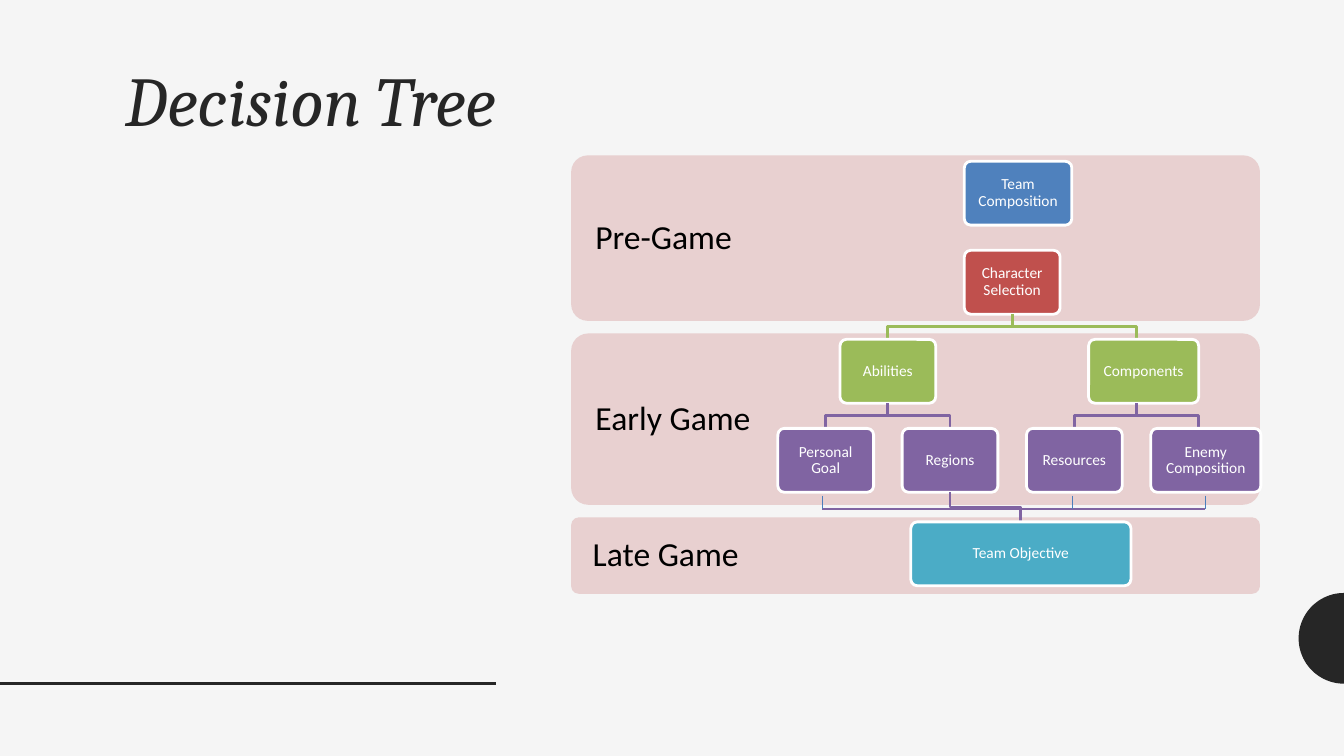
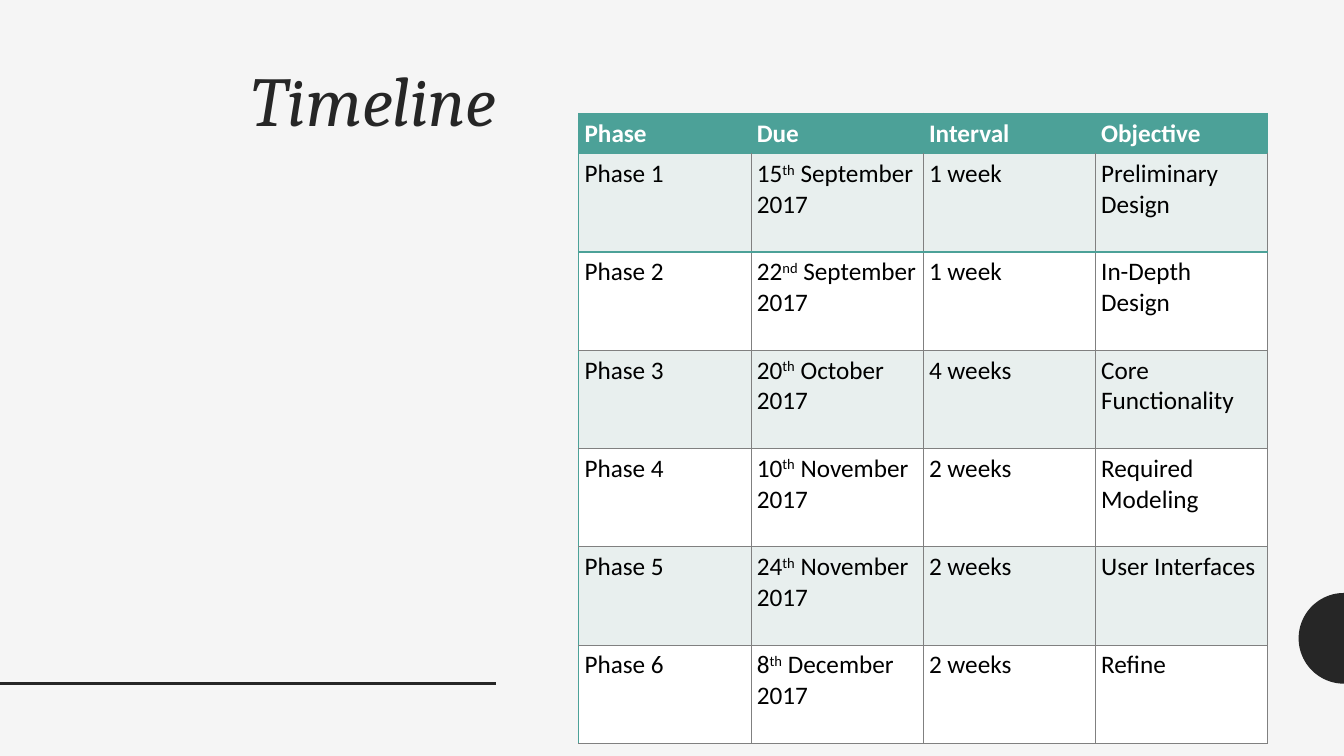
from dataclasses import dataclass
from math import cos, pi, sin
from typing import Any

from lxml import etree
from pptx import Presentation
from pptx.dml.color import RGBColor
from pptx.enum.shapes import MSO_CONNECTOR, MSO_SHAPE
from pptx.enum.text import MSO_ANCHOR, PP_ALIGN
from pptx.oxml.ns import qn
from pptx.util import Inches, Pt

STRAIGHT = MSO_CONNECTOR.STRAIGHT
ROUNDED = MSO_SHAPE.ROUNDED_RECTANGLE
TOP, MIDDLE = MSO_ANCHOR.TOP, MSO_ANCHOR.MIDDLE
LEFT, CENTER, RIGHT = PP_ALIGN.LEFT, PP_ALIGN.CENTER, PP_ALIGN.RIGHT

COLOURS = {
    "paper": "F5F5F5", "ink": "262626", "black": "000000", "white": "FFFFFF",
    "band": "E8D0D0", "blue": "4F81BD", "red": "C0504D", "green": "9BBB59",
    "purple": "8064A2", "aqua": "4BACC6", "stub": "4B7EBC",
    "teal": "4CA198", "mist": "E8EFEE", "grey": "808080",
}

# The slide is a grid of 16 columns and 9 rows of square units.
COLUMNS, ROWS = 16, 9
UNIT = Inches(13.333) / COLUMNS

TREE_LEFT, TREE_TOP = 9.26, 1.92
TREE_PITCH_X, TREE_PITCH_Y = 1.48, 1.06
NODE_WIDTH, NODE_HEIGHT = 1.14, 0.76


@dataclass(frozen=True)
class TextStyle:
    """Font and paragraph format of one kind of text."""
    size: float
    colour: str
    font: str = "Calibri"
    align: Any = LEFT
    spacing: float = 0.9
    bold: bool = False
    italic: bool = False


@dataclass(frozen=True)
class Band:
    """A stage of the game, drawn as a wide band."""
    label: str
    top: float
    height: float


@dataclass(frozen=True)
class Decision:
    """A box of the tree, placed by leaf column and level."""
    label: str
    column: float
    level: float
    colour: str
    width: float = NODE_WIDTH
    parent: str = ""
    branch: str = ""
    stem_share: float = 0.0

    @property
    def left(self) -> float:
        """Left edge in grid units."""
        return TREE_LEFT + self.column * TREE_PITCH_X

    @property
    def top(self) -> float:
        """Top edge in grid units."""
        return TREE_TOP + self.level * TREE_PITCH_Y

    @property
    def stem(self) -> float:
        """Horizontal place where branches meet the box."""
        return self.left + (self.width * self.stem_share or NODE_WIDTH / 2)


TITLE = TextStyle(50, "ink", "Cambria", RIGHT, italic=True)
BAND_TEXT = TextStyle(24, "black")
NODE_TEXT = TextStyle(11, "white", align=CENTER)
HEADER_TEXT = TextStyle(18, "white", spacing=1.0, bold=True)
BODY_TEXT = TextStyle(18, "black", spacing=1.0)

BANDS = [
    Band("Late Game", 6.16, 0.91),
    Band("Early Game", 3.97, 2.04),
    Band("Pre-Game", 1.85, 1.97),
]
DECISIONS = [
    Decision("Team Composition", 1.5, 0, "blue", 1.28),
    Decision("Character Selection", 1.5, 1, "red"),
    Decision("Abilities", 0.5, 2, "green", parent="Character Selection"),
    Decision("Personal Goal", 0, 3, "purple", parent="Abilities"),
    Decision("Regions", 1, 3, "purple", parent="Abilities"),
    Decision("Team Objective", 1.07, 4.05, "aqua", 2.62, "Regions", "purple", 0.5),
    Decision("Components", 2.5, 2, "green", 1.31, "Character Selection"),
    Decision("Resources", 2, 3, "purple", parent="Components"),
    Decision("Enemy Composition", 3, 3, "purple", 1.31, "Components"),
]
STUB_COLUMNS = [9.79, 12.77, 14.35]
STUB_TOP, STUB_BOTTOM = 5.9, 6.06

HEADINGS = ["Phase", "Due", "Interval", "Objective"]
PHASES = [
    (("15", "th", " September 2017"), "1 week", "Preliminary Design"),
    (("22", "nd", " September 2017"), "1 week", "In-Depth Design"),
    (("20", "th", " October 2017"), "4 weeks", "Core Functionality"),
    (("10", "th", " November 2017"), "2 weeks", "Required Modeling"),
    (("24", "th", " November 2017"), "2 weeks", "User Interfaces"),
    (("8", "th", " December 2017"), "2 weeks", "Refine"),
]


def grid(*units: float) -> list[int]:
    """Turn grid units into slide lengths."""
    return [round(unit * UNIT) for unit in units]


def rgb(name: str) -> RGBColor:
    """Look up a colour of the palette."""
    return RGBColor.from_string(COLOURS[name])


def apply(target: Any, values: dict[str, Any]) -> None:
    """Set each format value on the target."""
    for name, value in values.items():
        setattr(target, name, value)


def paint(shape: Any, fill: str = "", line: str = "", width: float = 2) -> None:
    """Give a shape flat fill and outline; an empty name means none."""
    shape.shadow.inherit = False
    for part, colour in ((shape.fill, fill), (shape.line.fill, line)):
        if colour:
            part.solid()
            part.fore_color.rgb = rgb(colour)
        else:
            part.background()
    if line:
        shape.line.width = Pt(width)


def inset(target: Any, across: float, down: float) -> None:
    """Set the inner margins of a text frame or cell."""
    x, y = grid(across, down)
    apply(target, {"margin_left": x, "margin_right": x,
                   "margin_top": y, "margin_bottom": y})


def write(frame: Any, pieces: tuple[str, ...], style: TextStyle) -> None:
    """Write one paragraph; every second piece is superscript."""
    frame.word_wrap = True
    paragraph = frame.paragraphs[0]
    apply(paragraph, {"alignment": style.align, "line_spacing": style.spacing})
    for index, piece in enumerate(pieces):
        run = paragraph.add_run()
        run.text = piece
        apply(run.font, {"name": style.font, "size": Pt(style.size),
                         "bold": style.bold, "italic": style.italic})
        run.font.color.rgb = rgb(style.colour)
        if index % 2:
            run.font._element.set("baseline", "30000")


def add_line(slide: Any, ends: tuple[float, ...], colour: str, width: float) -> None:
    """Draw a straight line between two grid points."""
    line = slide.shapes.add_connector(STRAIGHT, *grid(*ends))
    apply(line.line, {"width": Pt(width)})
    line.line.color.rgb = rgb(colour)
    etree.SubElement(line._element.spPr, qn("a:effectLst"))


def add_outline(slide: Any, points: list[tuple[float, float]], closed: bool) -> Any:
    """Build a freeform through grid points."""
    start, *others = [grid(*point) for point in points]
    builder = slide.shapes.build_freeform(*start)
    builder.add_line_segments(others, close=closed)
    return builder.convert_to_shape()


def add_panel(slide: Any, box: tuple[float, ...], label: str, style: TextStyle,
              margin: float, fill: str, line: str = "") -> None:
    """Draw a rounded box with centred-height text."""
    panel = slide.shapes.add_shape(ROUNDED, *grid(*box))
    panel.adjustments[0] = 0.1
    paint(panel, fill, line)
    inset(panel.text_frame, margin, margin)
    panel.text_frame.vertical_anchor = MIDDLE
    write(panel.text_frame, (label,), style)


def add_titled_slide(deck: Any, title: str) -> Any:
    """Start a slide with the shared half disc, rule and title."""
    slide = deck.slides.add_slide(deck.slide_layouts[6])
    radius, middle, steps = 0.54, 7.6, 48
    arc = [(COLUMNS - radius * sin(pi * step / steps),
            middle - radius * cos(pi * step / steps)) for step in range(steps + 1)]
    paint(add_outline(slide, arc, True), "ink")
    add_line(slide, (0, 8.14, 5.9, 8.14), "ink", 2)
    heading = slide.shapes.add_textbox(*grid(1, 0.73, 5.03, 6.5)).text_frame
    heading.vertical_anchor = TOP
    write(heading, (title,), TITLE)
    return slide


def add_branch(slide: Any, parent: Decision, child: Decision) -> None:
    """Draw the elbow from a parent box down to its child."""
    bottom = parent.top + NODE_HEIGHT
    bend = (bottom + child.top) / 2
    elbow = add_outline(slide, [(parent.stem, bottom), (parent.stem, bend),
                                (child.stem, bend), (child.stem, child.top)], False)
    paint(elbow, line=child.branch or child.colour)


def draw_tree(slide: Any) -> None:
    """Draw the stage bands and the decision tree over them."""
    for band in BANDS:
        add_panel(slide, (6.8, band.top, 8.2, band.height), band.label,
                  BAND_TEXT, 0.23, "band")
    by_label = {decision.label: decision for decision in DECISIONS}
    for decision in DECISIONS:
        if decision.parent:
            add_branch(slide, by_label[decision.parent], decision)
        add_panel(slide, (decision.left, decision.top, decision.width, NODE_HEIGHT),
                  decision.label, NODE_TEXT, 0.07, decision.colour, "white")
    add_line(slide, (STUB_COLUMNS[0], STUB_BOTTOM, STUB_COLUMNS[-1], STUB_BOTTOM),
             "purple", 1.5)
    for column in STUB_COLUMNS:
        add_line(slide, (column, STUB_TOP, column, STUB_BOTTOM), "stub", 0.75)


def add_borders(cell: Any, row: int, column: int) -> None:
    """Rule a cell: teal around the header, first row and left edge, else grey."""
    properties = cell._tc.get_or_add_tcPr()
    teal_sides = {"L": row == 0 or column == 0, "R": row == 0,
                  "T": row <= 2, "B": row <= 1}
    for index, (side, teal) in enumerate(teal_sides.items()):
        edge = etree.Element(qn(f"a:ln{side}"), w=str(Pt(0.96 if teal else 0.5)))
        fill = etree.SubElement(edge, qn("a:solidFill"))
        etree.SubElement(fill, qn("a:srgbClr"), val=COLOURS["teal" if teal else "grey"])
        properties.insert(index, edge)


def draw_timeline(slide: Any) -> None:
    """Draw the table of phases."""
    rows = [[(heading,) for heading in HEADINGS]]
    for number, (due, interval, objective) in enumerate(PHASES, 1):
        rows.append([(f"Phase {number}",), due, (interval,), (objective,)])
    header_height, row_height, column_width = 0.47, 1.17, 2.05
    table = slide.shapes.add_table(
        len(rows), len(HEADINGS),
        *grid(6.89, 1.35, column_width * len(HEADINGS),
              header_height + row_height * len(PHASES))).table
    apply(table, {"first_row": False, "horz_banding": False})
    for column in table.columns:
        column.width, = grid(column_width)
    for row, contents in enumerate(rows):
        table.rows[row].height, = grid(row_height if row else header_height)
        fill = ("mist" if row % 2 else "white") if row else "teal"
        for column, pieces in enumerate(contents):
            cell = table.cell(row, column)
            cell.fill.solid()
            cell.fill.fore_color.rgb = rgb(fill)
            inset(cell, 0.07, 0.06)
            write(cell.text_frame, pieces, BODY_TEXT if row else HEADER_TEXT)
            add_borders(cell, row, column)


def main() -> None:
    """Build and save the deck."""
    deck = Presentation()
    width, height = grid(COLUMNS, ROWS)
    apply(deck, {"slide_width": width, "slide_height": height})
    backdrop = deck.slide_master.background.fill
    backdrop.solid()
    backdrop.fore_color.rgb = rgb("paper")
    draw_tree(add_titled_slide(deck, "Decision Tree"))
    draw_timeline(add_titled_slide(deck, "Timeline"))
    deck.save("out.pptx")


main()
